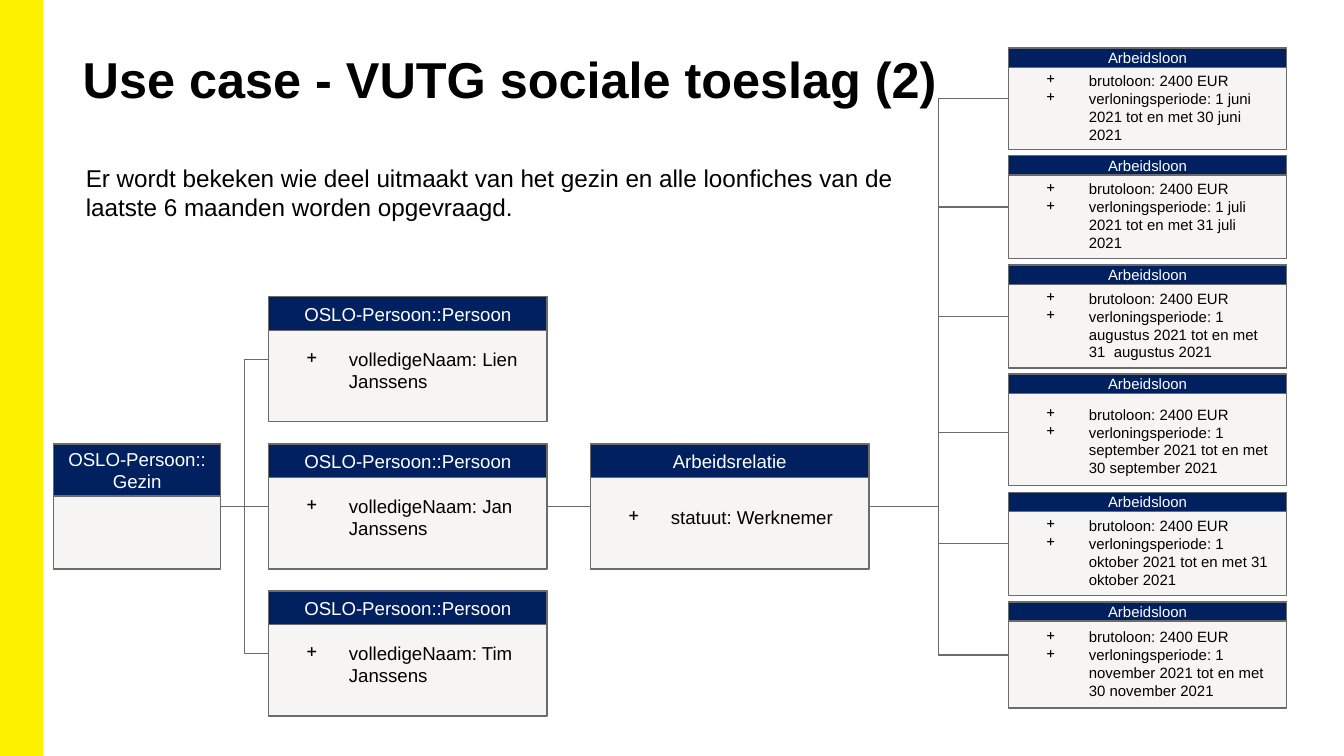
import pptx
import pptx.dml.color
import pptx.enum.shapes
import pptx.enum.text
import pptx.util
from lxml import etree

Pt = pptx.util.Pt
ALIGN = pptx.enum.text.PP_ALIGN
ANCHOR = pptx.enum.text.MSO_ANCHOR
CONNECTOR = pptx.enum.shapes.MSO_CONNECTOR
NAVY, GREY, PALE, YELLOW = "002060", "6B6B6B", "F6F5F3", "FFF200"
BLACK, WHITE = "000000", "FFFFFF"


def color(hex_string):
    return pptx.dml.color.RGBColor.from_string(hex_string)


def add_box(left, top, width, height, fill, line=None, lines=(), size=10,
            font_color=BLACK, bold=False, bullets=False, align=ALIGN.LEFT,
            anchor=ANCHOR.MIDDLE, margins=(7.2, 0, 7.2, 0)):
    """Add a rectangle, or a text box when there is no fill."""
    place = Pt(left), Pt(top), Pt(width), Pt(height)
    if fill:
        box = page.shapes.add_shape(
            pptx.enum.shapes.MSO_SHAPE.RECTANGLE, *place)
        box.shadow.inherit = False
        box.fill.solid()
        box.fill.fore_color.rgb = color(fill)
        box.line.color.rgb = color(line)
        box.line.width = Pt(0.75)
    else:
        box = page.shapes.add_textbox(*place)
    frame = box.text_frame
    frame.word_wrap = True
    frame.vertical_anchor = anchor
    (frame.margin_left, frame.margin_top,
     frame.margin_right, frame.margin_bottom) = [Pt(m) for m in margins]
    for index, text in enumerate(lines):
        para = frame.add_paragraph() if index else frame.paragraphs[0]
        para.alignment = align
        if bullets:
            properties = para._p.get_or_add_pPr()
            properties.set("marL", str(Pt(36)))
            properties.set("indent", str(-Pt(22.7)))
            bullet_color = etree.SubElement(properties, DRAWING + "buClr")
            etree.SubElement(bullet_color, DRAWING + "srgbClr", val=BLACK)
            etree.SubElement(properties, DRAWING + "buChar", char="+")
        para.font.name = "Arial"
        para.font.size = Pt(size)
        para.font.bold = bold
        para.font.color.rgb = color(font_color)
        para.add_run().text = text
    return box


DRAWING = "{http://schemas.openxmlformats.org/drawingml/2006/main}"
deck = pptx.Presentation()
deck.slide_width, deck.slide_height = Pt(720), Pt(405)
page = deck.slides.add_slide(deck.slide_layouts[6])

# Yellow side band, title and introduction
add_box(0, 0, 22.5, 405, YELLOW, YELLOW)
add_box(38.9, 20.9, 519, 41.8, None, size=27, bold=True,
        lines=["Use case - VUTG sociale toeslag (2)"],
        margins=(5.4, 2.7, 5.4, 2.7))
add_box(38.9, 80, 450, 46, None, size=13, anchor=ANCHOR.TOP,
        lines=["Er wordt bekeken wie deel uitmaakt van het gezin en alle "
               "loonfiches van de laatste 6 maanden worden opgevraagd."],
        margins=(7.2, 7.2, 7.2, 7.2))

# Cards: left, top, width, height, header top, header height, size, header, body
middle_top = 237.8
person_left, card_width, card_height = 143.8, 149.2, 67
cards = [
    (28.7, middle_top, 89.5, card_height, middle_top, 28, 10,
     ["OSLO-Persoon::", "Gezin"], []),
    (316.3, middle_top, card_width, card_height, middle_top, 18, 10,
     ["Arbeidsrelatie"], ["statuut: Werknemer"]),
]
for row, name in enumerate(["Lien", "Jan", "Tim"]):
    top = middle_top + (row - 1) * 78.8
    cards.append((person_left, top, card_width, card_height, top, 18, 10,
                  ["OSLO-Persoon::Persoon"],
                  [f"volledigeNaam: {name} Janssens"]))

wages = [
    (25.8, 54.2, 25.8, "1 juni 2021 tot en met 30 juni 2021"),
    (83.4, 55.2, 83.4, "1 juli 2021 tot en met 31 juli 2021"),
    (142, 55.2, 142, "1 augustus 2021 tot en met 31  augustus 2021"),
    (203.1, 57.2, 200.4, "1 september 2021 tot en met 30 september 2021"),
    (263.7, 55.2, 263.7, "1 oktober 2021 tot en met 31 oktober 2021"),
    (322.4, 57, 322.4, "1 november 2021 tot en met 30 november 2021"),
]
for top, height, header_top, period in wages:
    cards.append((540.2, top, card_width, height, header_top, 10.4, 8,
                  ["Arbeidsloon"],
                  ["brutoloon: 2400 EUR", f"verloningsperiode: {period}"]))

bodies = []
for (left, top, width, height, header_top, header_height, size,
     header, body) in cards:
    # One line of room above the list
    bodies.append(add_box(left, top, width, height, PALE, GREY, body, size,
                          bullets=True, margins=(7.2, size * 1.15, 7.2, 0)))
    add_box(left, header_top, width, header_height, NAVY, GREY, header, size,
            WHITE, align=ALIGN.CENTER)

# Connectors from right side to left side
family, relation, lien, jan, tim = bodies[:5]
links = [(family, person) for person in (lien, jan, tim)]
links.append((jan, relation))
links += [(relation, wage) for wage in bodies[5:]]
for source, target in links:
    level = source.top == target.top
    link = page.shapes.add_connector(
        CONNECTOR.STRAIGHT if level else CONNECTOR.ELBOW,
        source.left + source.width, source.top + source.height // 2,
        target.left, target.top + target.height // 2)
    link.begin_connect(source, 3)
    link.end_connect(target, 1)
    link.line.color.rgb = color(GREY)
    link.line.width = Pt(0.75)
    etree.SubElement(link._element.spPr, DRAWING + "effectLst")

deck.save("out.pptx")
